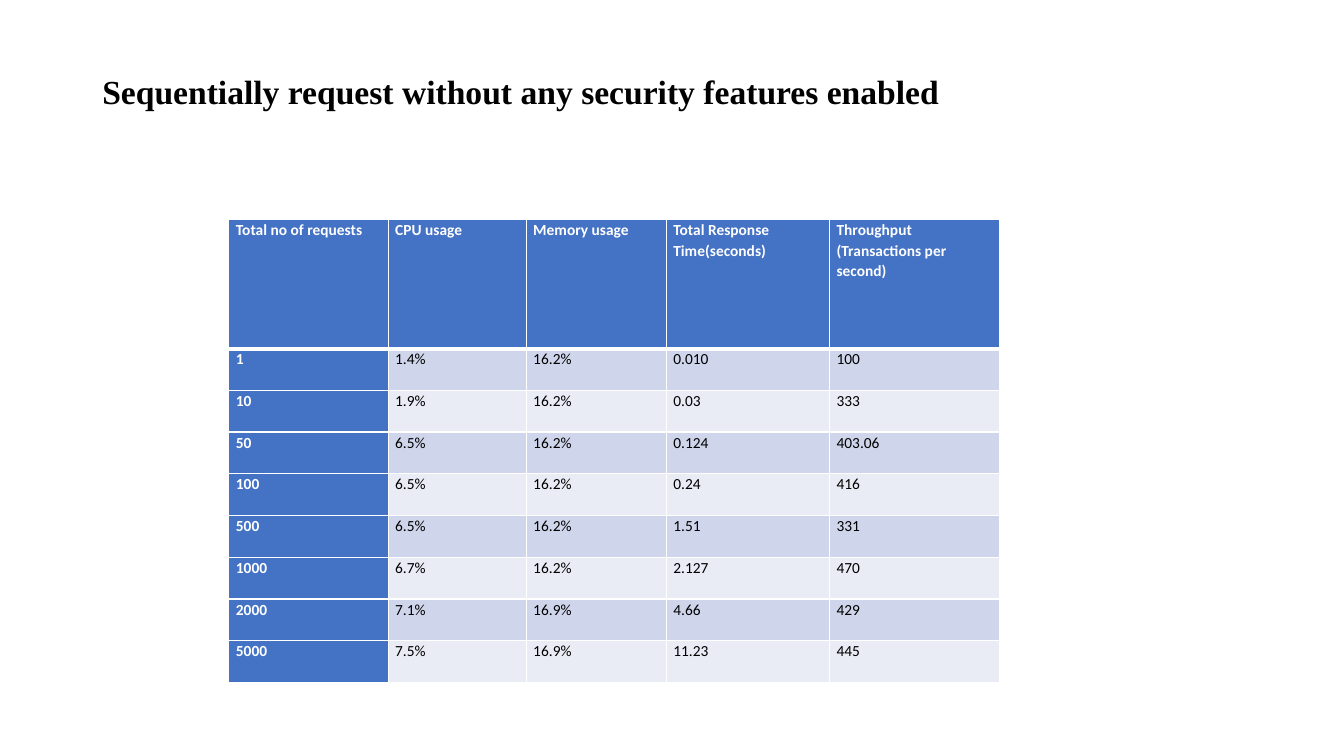
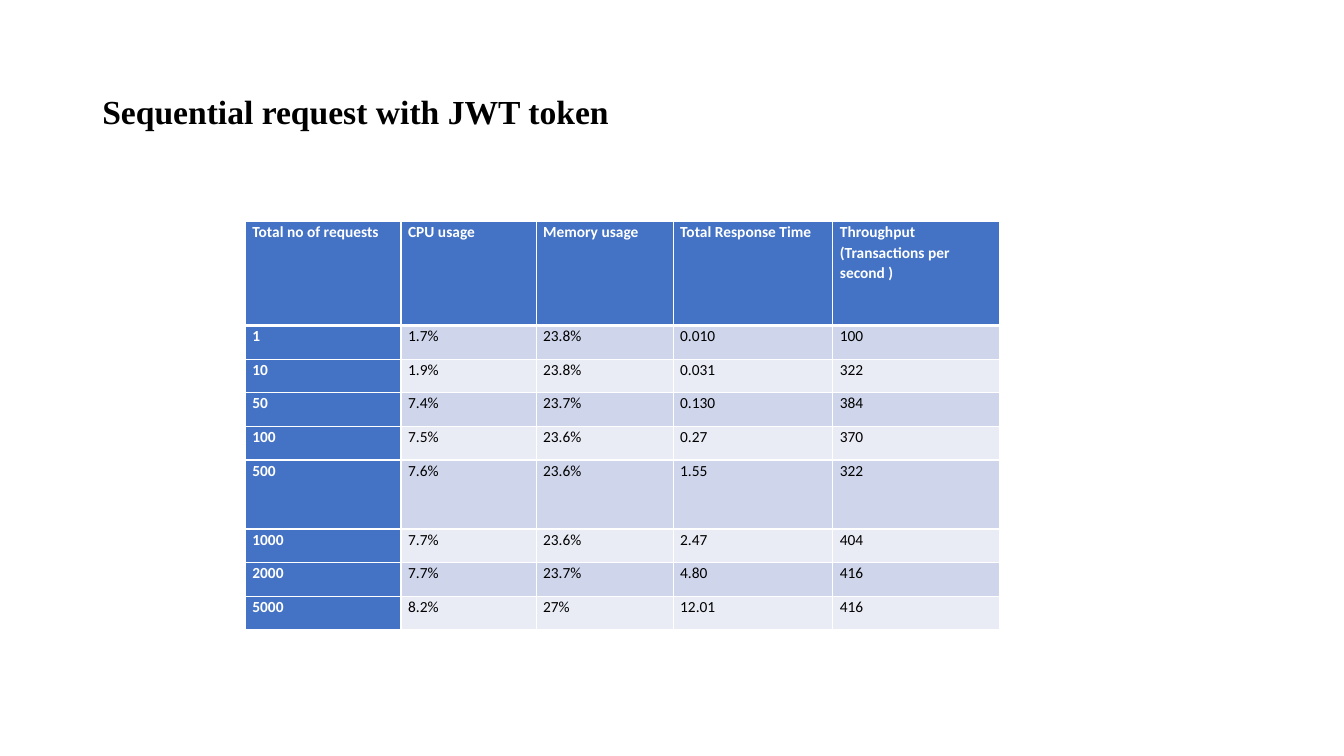
from dataclasses import dataclass

import pptx
import pptx.dml.color
import pptx.enum.text
import pptx.oxml
import pptx.oxml.ns
import pptx.util


@dataclass(frozen=True)
class Theme:
    black: str = "000000"
    white: str = "FFFFFF"
    accent: str = "4472C4"
    bands: tuple = ("CFD5EA", "E9EBF5")
    title_font: str = "Times New Roman"
    body_font: str = "Calibri"
    title_size: int = 24
    body_size: int = 11
    rule: int = 1
    header_rule: int = 3


@dataclass(frozen=True)
class Box:
    """A region in grid columns and rows."""
    left: float
    top: float
    width: float
    height: float

    def place(self):
        return [grid(n) for n in (self.left, self.top, self.width, self.height)]


THEME = Theme()
GRID_COLUMNS, GRID_ROWS, UNITS_PER_INCH = 160, 90, 12
TITLE_BOX = Box(11, 4.8, 138, 17.4)
COLUMN_WEIGHTS = (1.58, 1.37, 1.39, 1.62, 1.69)
REQUEST_COUNTS = ("1", "10", "50", "100", "500", "1000", "2000", "5000")

SLIDES = (
    dict(
        title="Sequentially request without any security features enabled",
        title_lift=4.8,
        box=Box(27.25, 26.15, 91.8, 55.1),
        header_height=15.36,
        row_weights=(1,) * 8,
        headings=("Total no of requests", "CPU usage", "Memory usage",
                  "Total Response Time(seconds)",
                  "Throughput (Transactions per second)"),
        results=(
            ("1.4%", "16.2%", "0.010", "100"),
            ("1.9%", "16.2%", "0.03", "333"),
            ("6.5%", "16.2%", "0.124", "403.06"),
            ("6.5%", "16.2%", "0.24", "416"),
            ("6.5%", "16.2%", "1.51", "331"),
            ("6.7%", "16.2%", "2.127", "470"),
            ("7.1%", "16.9%", "4.66", "429"),
            ("7.5%", "16.9%", "11.23", "445"),
        ),
    ),
    dict(
        title="Sequential request with JWT token",
        title_lift=0,
        box=Box(29.2, 26.4, 89.8, 48.6),
        header_height=12.36,
        row_weights=(1, 1, 1, 1, 2.05, 1, 1, 1),
        headings=("Total no of requests", "CPU usage", "Memory usage",
                  "Total Response Time",
                  "Throughput (Transactions per second )"),
        results=(
            ("1.7%", "23.8%", "0.010", "100"),
            ("1.9%", "23.8%", "0.031", "322"),
            ("7.4%", "23.7%", "0.130", "384"),
            ("7.5%", "23.6%", "0.27", "370"),
            ("7.6%", "23.6%", "1.55", "322"),
            ("7.7%", "23.6%", "2.47", "404"),
            ("7.7%", "23.7%", "4.80", "416"),
            ("8.2%", "27%", "12.01", "416"),
        ),
    ),
)


def grid(units):
    return pptx.util.Inches(units / UNITS_PER_INCH)


def rgb(value):
    return pptx.dml.color.RGBColor.from_string(value)


def split(total, weights):
    """Divide a length in proportion to the weights."""
    return [total * weight / sum(weights) for weight in weights]


def write(frame, text, font, size, color, bold, spacing):
    para = frame.paragraphs[0]
    para.line_spacing = spacing
    span = para.add_run()
    span.text = text
    span.font.name = font
    span.font.size = pptx.util.Pt(size)
    span.font.color.rgb = rgb(color)
    span.font.bold = bold


def add_title(page, box, text, lift):
    """Centre the title in its box, less a strip of lift rows at the bottom."""
    frame = page.shapes.add_textbox(*box.place()).text_frame
    frame.word_wrap = True
    frame.vertical_anchor = pptx.enum.text.MSO_ANCHOR.MIDDLE
    frame.margin_bottom += grid(lift)
    write(frame, text, THEME.title_font, THEME.title_size, THEME.black, True, 0.9)


def add_borders(cell, top, bottom):
    properties = cell._tc.get_or_add_tcPr()
    widths = {"L": THEME.rule, "R": THEME.rule, "T": top, "B": bottom}
    for side, width in widths.items():
        properties.append(pptx.oxml.parse_xml(
            f'<a:ln{side} {pptx.oxml.ns.nsdecls("a")} w="{pptx.util.Pt(width)}">'
            f'<a:solidFill><a:srgbClr val="{THEME.white}"/></a:solidFill>'
            f'</a:ln{side}>'))


def fill_cell(cell, text, row, column):
    is_heading = row == 0 or column == 0
    cell.margin_left = cell.margin_right = pptx.util.Inches(0.07)
    cell.margin_top = cell.margin_bottom = 0
    add_borders(cell,
                top=THEME.header_rule if row == 1 else THEME.rule,
                bottom=THEME.header_rule if row == 0 else THEME.rule)
    cell.fill.solid()
    cell.fill.fore_color.rgb = rgb(
        THEME.accent if is_heading else THEME.bands[(row - 1) % 2])
    write(cell.text_frame, text, THEME.body_font, THEME.body_size,
          THEME.white if is_heading else THEME.black, is_heading, 1.07)


def add_results_table(page, box, header_height, row_weights, headings, results):
    lines = [headings]
    lines += [(count, *values) for count, values in zip(REQUEST_COUNTS, results)]
    table = page.shapes.add_table(len(lines), len(headings), *box.place()).table
    table.first_col = True
    for column, width in zip(table.columns, split(box.width, COLUMN_WEIGHTS)):
        column.width = grid(width)
    heights = [header_height, *split(box.height - header_height, row_weights)]
    for row, height in zip(table.rows, heights):
        row.height = grid(height)
    for row, line in enumerate(lines):
        for column, text in enumerate(line):
            fill_cell(table.cell(row, column), text, row, column)


def add_results_page(deck, title, title_lift, **table):
    page = deck.slides.add_slide(deck.slide_layouts[6])
    add_title(page, TITLE_BOX, title, title_lift)
    add_results_table(page, **table)


def main():
    deck = pptx.Presentation()
    deck.slide_width = grid(GRID_COLUMNS)
    deck.slide_height = grid(GRID_ROWS)
    for content in SLIDES:
        add_results_page(deck, **content)
    deck.save("out.pptx")


if __name__ == "__main__":
    main()
